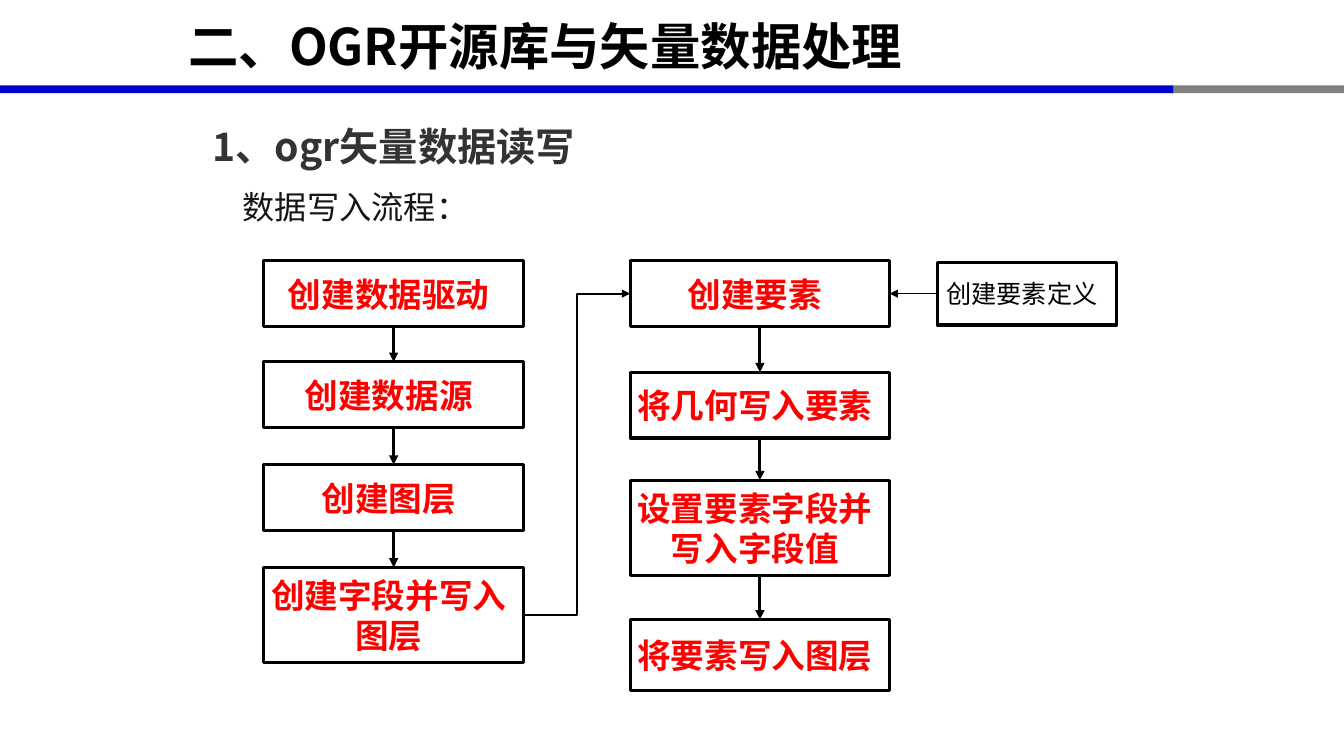
from lxml import etree
from pptx import Presentation
from pptx.dml.color import RGBColor
from pptx.enum import shapes, text
from pptx.oxml import ns
from pptx.util import Cm, Pt

FONT = "Noto Sans CJK SC"
BLACK = RGBColor(0x00, 0x00, 0x00)
CHARCOAL = RGBColor(0x33, 0x33, 0x33)
INK = RGBColor(0x15, 0x15, 0x15)
RED = RGBColor(0xFF, 0x00, 0x00)
BLUE = RGBColor(0x00, 0x00, 0xCC)
GREY = RGBColor(0x80, 0x80, 0x80)

READY_STEPS = [
    ("创建数据驱动", 0, 1.66),
    ("创建数据源", 2.55, 1.66),
    ("创建图层", 5.14, 1.66),
    ("创建字段并写入图层", 7.73, 2.4),
]
FEATURE_STEPS = [
    ("创建要素", 0, 1.66),
    ("将几何写入要素", 2.81, 1.66),
    ("设置要素字段并写入字段值", 5.53, 2.4),
    ("将要素写入图层", 9.04, 1.8),
]


def write(para, words, size, color, bold=False):
    """Add one formatted run to a paragraph."""
    span = para.add_run()
    span.text = words
    span.font.name = FONT
    span.font.size = Pt(size)
    span.font.bold = bold
    span.font.color.rgb = color
    etree.SubElement(span.font._element, ns.qn("a:ea"), typeface=FONT)


def add_bar(page, left, top, width, height, color):
    """Draw a solid bar without an outline."""
    bar = page.shapes.add_shape(
        shapes.MSO_SHAPE.RECTANGLE, Cm(left), Cm(top), Cm(width), Cm(height))
    bar.shadow.inherit = False
    bar.fill.solid()
    bar.fill.fore_color.rgb = color
    bar.line.fill.background()


def add_header(page, left, top, width, height):
    """Place the title and the two-coloured rule below it."""
    title = page.shapes.title
    title.left, title.top = Cm(left + 4.24), Cm(top + 0.03)
    title.width, title.height = Cm(25.04), Cm(2.21)
    frame = title.text_frame
    frame.word_wrap = True
    frame.auto_size = text.MSO_AUTO_SIZE.NONE
    frame.vertical_anchor = text.MSO_ANCHOR.MIDDLE
    para = frame.paragraphs[0]
    para.alignment = text.PP_ALIGN.LEFT
    para._p.get_or_add_pPr().set("indent", str(Cm(0.25)))
    write(para, "二、OGR开源库与矢量数据处理", 36, BLACK, True)
    rule_top = top + height - 0.2
    add_bar(page, left, rule_top, width - 4.29, 0.2, BLUE)
    add_bar(page, left + width - 4.29, rule_top, 4.29, 0.2, GREY)


def add_heading(page, left, top, width, height, words, size, color, spacing, bold):
    """Place one line of heading text with generous line spacing."""
    box = page.shapes.add_textbox(Cm(left), Cm(top), Cm(width), Cm(height))
    frame = box.text_frame
    frame.word_wrap = True
    frame.auto_size = text.MSO_AUTO_SIZE.SHAPE_TO_FIT_TEXT
    para = frame.paragraphs[0]
    para.alignment = text.PP_ALIGN.JUSTIFY
    para.line_spacing = spacing
    write(para, words, size, color, bold)


def add_step(page, left, top, width, height, words, size=24, color=RED, bold=True):
    """Draw one outlined step of the flow chart."""
    box = page.shapes.add_shape(
        shapes.MSO_SHAPE.RECTANGLE, Cm(left), Cm(top), Cm(width), Cm(height))
    box.shadow.inherit = False
    box.fill.background()
    box.line.color.rgb = BLACK
    box.line.width = Pt(2.25)
    frame = box.text_frame
    frame.word_wrap = True
    frame.vertical_anchor = text.MSO_ANCHOR.MIDDLE
    frame.margin_left = 0
    para = frame.paragraphs[0]
    para.alignment = text.PP_ALIGN.CENTER
    write(para, words, size, color, bold)
    return box


def add_arrow(page, start, start_site, end, end_site, weight,
              kind=shapes.MSO_CONNECTOR.STRAIGHT):
    """Join two steps with an arrow."""
    arrow = page.shapes.add_connector(kind, 0, 0, 0, 0)
    arrow.begin_connect(start, start_site)
    arrow.end_connect(end, end_site)
    arrow.line.color.rgb = BLACK
    arrow.line.width = Pt(weight)
    outline = arrow.line._get_or_add_ln()
    etree.SubElement(outline, ns.qn("a:tailEnd"), type="triangle")
    etree.SubElement(arrow._element.spPr, ns.qn("a:effectLst"))


def add_column(page, left, top, width, steps):
    """Stack steps in a column and join each to the next."""
    boxes = [add_step(page, left, top + offset, width, height, words)
             for words, offset, height in steps]
    for upper, lower in zip(boxes, boxes[1:]):
        add_arrow(page, upper, 2, lower, 0, 2.25)
    return boxes


def add_flow(page, left, top, width):
    """Draw both columns, the side step and the arrows between them."""
    column = 6.54
    ready = add_column(page, left, top, column, READY_STEPS)
    feature = add_column(page, left + 9.23, top, column, FEATURE_STEPS)
    definition = add_step(page, left + width - 4.52, top + 0.04, 4.52, 1.58,
                          "创建要素定义", 18, BLACK, False)
    add_arrow(page, ready[-1], 3, feature[0], 1, 1.5, shapes.MSO_CONNECTOR.ELBOW)
    add_arrow(page, definition, 1, feature[0], 3, 0.75)


def main():
    """Build and save the deck."""
    deck = Presentation()
    deck.slide_width, deck.slide_height = Cm(33.87), Cm(19.05)
    page = deck.slides.add_slide(deck.slide_layouts[5])
    add_header(page, 0, 0, 33.87, 2.35)
    add_heading(page, 5.11, 2.36, 23.65, 1.83, "1、ogr矢量数据读写",
                28, CHARCOAL, 1.5, True)
    add_heading(page, 5.87, 3.63, 6.53, 1.93, "数据写入流程：",
                23, INK, 2.0, False)
    add_flow(page, 6.65, 6.57, 21.49)
    deck.save("out.pptx")


if __name__ == "__main__":
    main()
